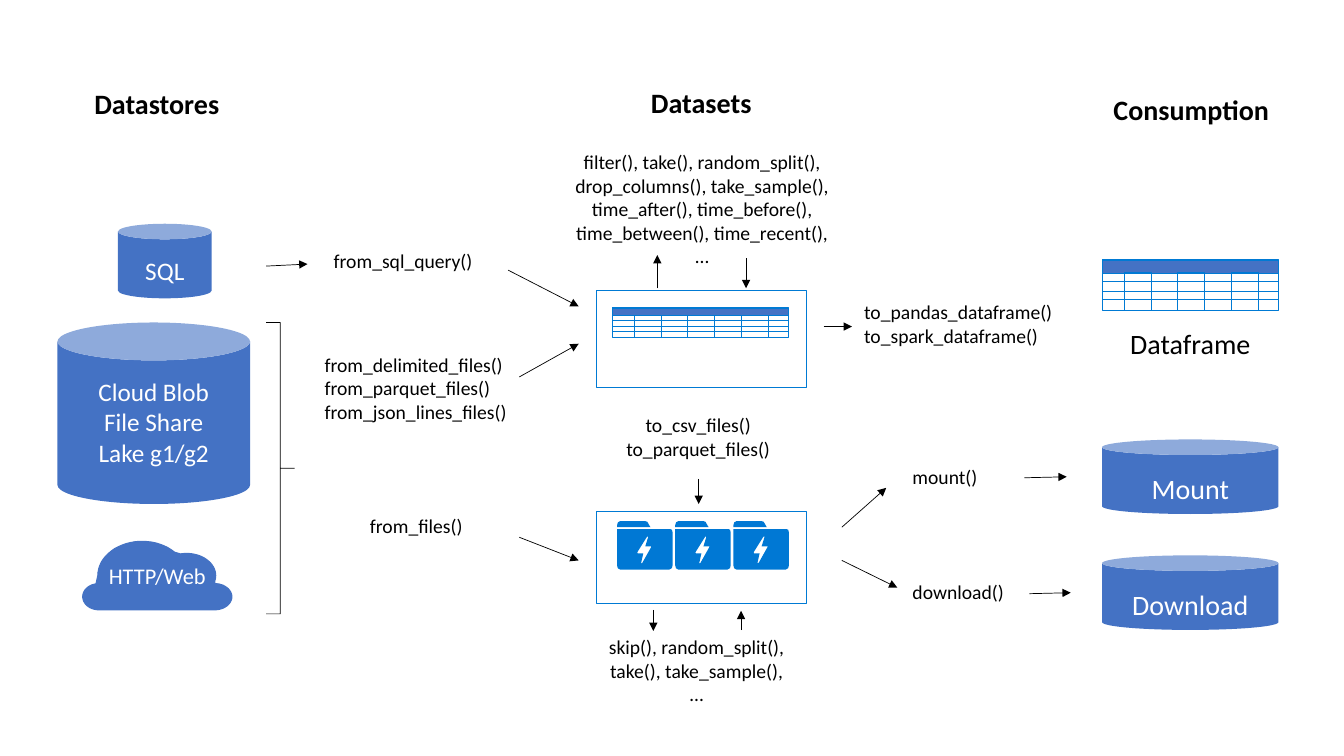
"""Build the slide that shows how datastores become datasets and are consumed."""
from math import cos, radians, sin

from lxml.etree import SubElement
from pptx import Presentation
from pptx.dml.color import RGBColor
from pptx.enum.shapes import MSO_CONNECTOR as Connector, MSO_SHAPE as Shape
from pptx.enum.text import MSO_ANCHOR as Anchor, PP_ALIGN as Align
from pptx.oxml.ns import qn
from pptx.util import Inches, Pt

COLORS = {"black": "000000", "white": "FFFFFF", "store": "4472C4",
          "outline": "007AD4", "folder": "0078D4"}


def paint(shape, fill=None, line=None, weight=0.5):
    """Give a shape its fill and outline, without a shadow."""
    shape.shadow.inherit = False
    if fill:
        shape.fill.solid()
        shape.fill.fore_color.rgb = RGBColor.from_string(COLORS[fill])
    else:
        shape.fill.background()
    if line:
        shape.line.color.rgb = RGBColor.from_string(COLORS[line])
        shape.line.width = Pt(weight)
    else:
        shape.line.fill.background()


def write(shape, text, size, color="black", align=Align.CENTER, bold=False,
          anchor=Anchor.TOP, inset=(0, 0), wrap=False):
    """Fill a shape with text, one paragraph a line."""
    frame = shape.text_frame
    frame.text = text
    frame.word_wrap = wrap
    frame.vertical_anchor = anchor
    frame.margin_left = frame.margin_right = Inches(inset[0])
    frame.margin_top = frame.margin_bottom = Inches(inset[1])
    for paragraph in frame.paragraphs:
        paragraph.alignment = align
        for run in paragraph.runs:
            run.font.name = "Calibri"
            run.font.size = Pt(size)
            run.font.bold = bold
            run.font.color.rgb = RGBColor.from_string(COLORS[color])


deck = Presentation()
deck.slide_width, deck.slide_height = Inches(13.33), Inches(7.5)
shapes = deck.slides.add_slide(deck.slide_layouts[6]).shapes

headings = [
    ("Datastores", (0.64, 0.86, 1.83, 0.34), True),
    ("Datasets", (5.91, 0.85, 2.09, 0.34), True),
    ("Consumption", (10.94, 0.92, 1.75, 0.34), True),
    ("Dataframe", (10.93, 3.24, 1.75, 0.34), False),
]
for text, box, bold in headings:
    write(shapes.add_textbox(*map(Inches, box)), text, 20, bold=bold)

methods = [
    ("from_sql_query()", (3.31, 2.47, 1.39, 0.24), Align.LEFT),
    ("from_delimited_files()\nfrom_parquet_files()\nfrom_json_lines_files()",
     (3.22, 3.5, 1.83, 0.71), Align.LEFT),
    ("from_files()", (3.67, 5.1, 0.93, 0.24), Align.LEFT),
    ("filter(), take(), random_split(),\ndrop_columns(), take_sample(),\n"
     "time_after(), time_before(),\ntime_between(), time_recent(),\n…",
     (5.68, 1.49, 2.57, 1.18), Align.CENTER),
    ("to_csv_files()\nto_parquet_files()", (5.88, 4.1, 2.09, 0.47), Align.CENTER),
    ("skip(), random_split(),\ntake(), take_sample(),\n…",
     (6.03, 6.3, 1.76, 0.71), Align.CENTER),
    ("to_pandas_dataframe()\nto_spark_dataframe()", (8.57, 2.98, 1.89, 0.47), Align.LEFT),
    ("mount()", (9.05, 4.61, 0.65, 0.24), Align.LEFT),
    ("download()", (9.05, 5.75, 0.92, 0.24), Align.LEFT),
]
for text, box, align in methods:
    write(shapes.add_textbox(*map(Inches, box)), text, 14, align=align)

arrows = [
    (2.64, 2.64, 3.05, 2.62), (5.04, 2.68, 5.74, 3.04),
    (5.15, 3.74, 5.74, 3.41), (5.15, 5.33, 5.74, 5.56),
    (6.52, 2.86, 6.52, 2.53), (7.4, 2.56, 7.4, 2.86),
    (6.93, 4.75, 6.93, 5), (6.48, 6.05, 6.48, 6.26),
    (7.35, 6.25, 7.35, 6.06), (8.17, 3.24, 8.45, 3.24),
    (8.35, 5.23, 8.79, 4.84), (8.35, 5.56, 8.9, 5.83),
    (10.16, 4.74, 10.58, 4.73), (10.21, 5.89, 10.62, 5.88),
]
for ends in arrows:
    arrow = shapes.add_connector(Connector.STRAIGHT, *map(Inches, ends))
    arrow.line.color.rgb = RGBColor.from_string(COLORS["black"])
    arrow.line.width = Pt(0.5)
    SubElement(arrow.line._get_or_add_ln(), qn("a:tailEnd"), type="triangle")
    SubElement(arrow._element.spPr, qn("a:effectLst"))

file_sources = shapes.add_shape(Shape.RIGHT_BRACE, *map(Inches, (2.64, 3.2, 0.28, 2.89)))
file_sources.adjustments[0] = 0
paint(file_sources, line="black")

stores = [
    ("SQL", (1.17, 2.22, 0.93, 0.74), 18),
    ("Cloud Blob\nFile Share\nLake g1/g2", (0.57, 3.2, 1.91, 1.8), 18),
    ("Mount", (10.93, 4.36, 1.75, 0.74), 20),
    ("Download", (10.93, 5.51, 1.75, 0.74), 20),
]
for text, box, size in stores:
    store = shapes.add_shape(Shape.CAN, *map(Inches, box))
    store.adjustments[0] = 0.209
    paint(store, "store")
    write(store, text, size, "white", inset=(0.2, 0.16), wrap=True)

cloud_arcs = [(1.41, 5.71, 0.44, 0.34, 180, 317), (1.85, 5.71, 0.29, 0.22, 258, 375),
              (2.13, 5.92, 0.17, 0.13, 270, 450), (0.98, 5.92, 0.16, 0.13, 90, 260)]
cloud_points = []
for x, y, rx, ry, start, end in cloud_arcs:
    for step in range(25):
        angle = radians(start + (end - start) * step / 24)
        cloud_points.append((1000 * (x + rx * cos(angle)), 1000 * (y + ry * sin(angle))))
outline = shapes.build_freeform(*cloud_points[0], scale=Inches(1) / 1000)
outline.add_line_segments(cloud_points[1:])
web = outline.convert_to_shape()
paint(web, "store", "store", 0.75)
write(web, "HTTP/Web", 16, "white", anchor=Anchor.MIDDLE, inset=(0.1, 0.05), wrap=True)

for top, height in [(2.88, 0.96), (5.07, 0.92)]:
    paint(shapes.add_shape(Shape.RECTANGLE, *map(Inches, (5.91, top, 2.09, height))),
          line="outline")

for left, top, height in [(6.07, 3.05, 0.3), (10.93, 2.57, 0.51)]:
    bands = [(0, 1, None), (0.63, 0.16, None), (0.27, 0.16, None), (0.03, 0.24, "store")]
    cells = [(left, offset, 1.75, share, fill) for offset, share, fill in bands]
    cells += [(left + 0.22 + 0.53 * column, 0.26, 0.27, 0.74, None) for column in range(3)]
    for x, offset, width, share, fill in cells:
        box = (x, top + offset * height, width, share * height)
        paint(shapes.add_shape(Shape.RECTANGLE, *map(Inches, box)), fill, "outline")

folder_parts = [
    [(0, 80), (530, 80), (544, 86), (550, 110), (550, 440), (544, 466), (520, 480),
     (30, 480), (8, 468), (0, 440)],
    [(0, 60), (0, 40), (9, 12), (30, 0), (280, 0), (300, 6), (325, 50), (332, 60)],
    [(340, 255), (250, 415), (240, 420), (240, 410), (260, 320), (205, 320), (200, 310),
     (296, 157), (306, 150), (308, 160), (280, 250), (338, 250)],
]
for column in range(3):
    corner_x, corner_y = 6120 + 577 * column, 5170
    folder = None
    for part in folder_parts:
        points = [(corner_x + x, corner_y + y) for x, y in part]
        if folder is None:
            folder = shapes.build_freeform(*points[0], scale=Inches(1) / 1000)
        else:
            folder.move_to(*points[0])
        folder.add_line_segments(points[1:])
    paint(folder.convert_to_shape(), "folder")

deck.save("out.pptx")
